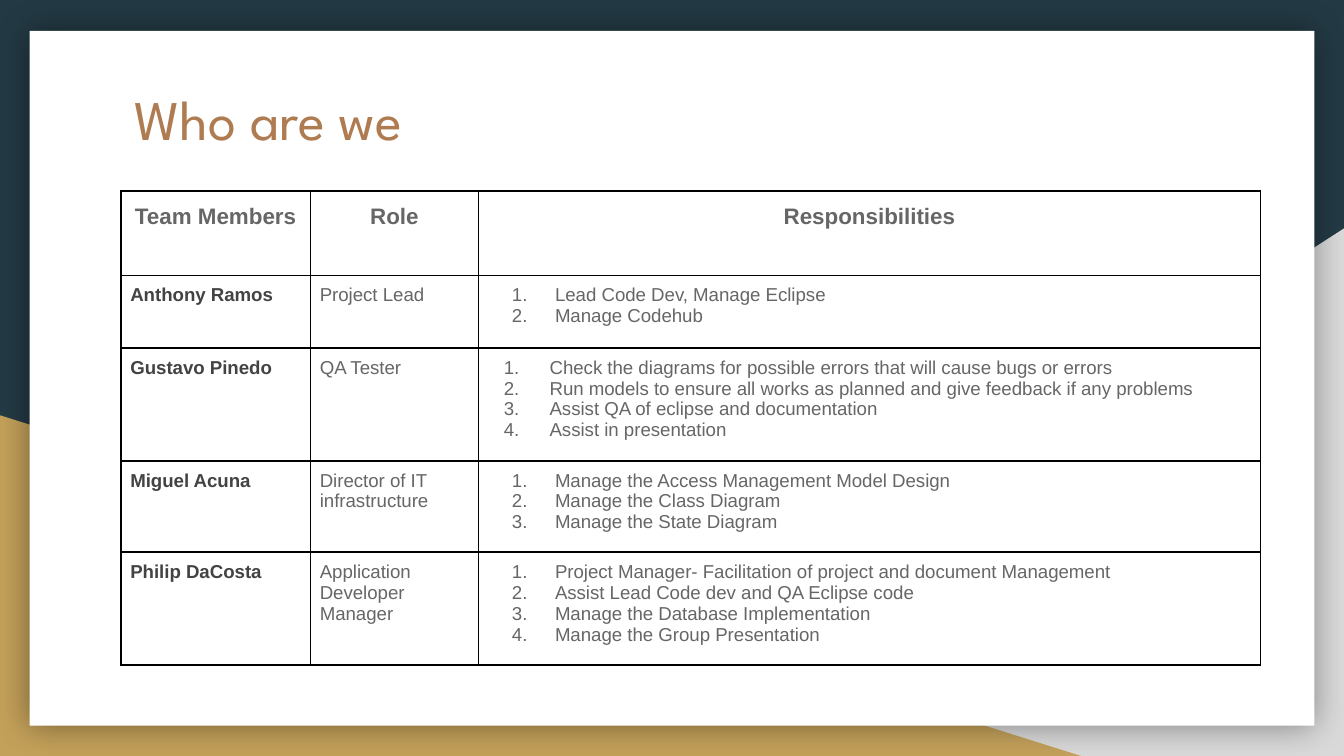
from dataclasses import dataclass

import lxml.etree
import pptx
import pptx.dml.color
import pptx.enum.shapes
import pptx.enum.text
import pptx.oxml
import pptx.oxml.ns
import pptx.util

Inches = pptx.util.Inches
Pt = pptx.util.Pt
qn = pptx.oxml.ns.qn
SHAPE = pptx.enum.shapes.MSO_SHAPE
CENTER = pptx.enum.text.PP_ALIGN.CENTER


@dataclass(frozen=True)
class Theme:
    back: str = "233A44"
    gray: str = "D9D9D9"
    gold: str = "C4A15A"
    white: str = "FFFFFF"
    title: str = "AF7B51"
    text: str = "666666"
    name: str = "434343"
    line: str = "000000"
    title_font: str = "League Spartan"
    font: str = "Arial"
    title_size: float = 30
    head_size: float = 12
    size: float = 10


@dataclass(frozen=True)
class Member:
    name: str
    role: str
    tasks: tuple[str, ...]
    height: float
    typed: bool = False  # numbers are part of the text


THEME = Theme()
HEADS = ("Team Members", "Role", "Responsibilities")
HEAD_HEIGHT = 0.63
WIDTHS = (1.41, 1.25, 5.82)
TEAM = (
    Member("Anthony Ramos", "Project Lead",
           ("Lead Code Dev, Manage Eclipse", "Manage Codehub"), 0.54),
    Member("Gustavo Pinedo", "QA Tester",
           ("1.\tCheck the diagrams for possible errors that will cause bugs or errors",
            "2.\tRun models to ensure all works as planned and give feedback if any problems",
            "3.\tAssist QA of eclipse and documentation",
            "4.\tAssist in presentation"), 0.84, True),
    Member("Miguel Acuna", "Director of IT infrastructure",
           ("Manage the Access Management Model Design",
            "Manage the Class Diagram",
            "Manage the State Diagram"), 0.68),
    Member("Philip DaCosta", "Application Developer Manager",
           ("Project Manager- Facilitation of project and document Management",
            "Assist Lead Code dev and QA Eclipse code",
            "Manage the Database Implementation",
            "Manage the Group Presentation"), 0.84),
)


def color(code: str) -> pptx.dml.color.RGBColor:
    return pptx.dml.color.RGBColor.from_string(code)


def add_tag(parent, tag: str, **attrs: str):
    return lxml.etree.SubElement(parent, qn(tag), attrs)


def style(font, face: str, size: float, code: str, bold: bool = False) -> None:
    font.name, font.size, font.bold = face, Pt(size), bold
    font.color.rgb = color(code)


def add_panel(slide, kind, box: tuple[float, ...], code: str):
    panel = slide.shapes.add_shape(kind, *map(Inches, box))
    panel.shadow.inherit = False
    panel.fill.solid()
    panel.fill.fore_color.rgb = color(code)
    panel.line.fill.background()
    return panel


def add_glow(panel) -> None:
    """Give the panel a soft shadow on all sides."""
    effects = panel._element.spPr.find(qn("a:effectLst"))
    shadow = add_tag(effects, "a:outerShdw", blurRad=str(Pt(18)), dist="0",
                     dir="0", algn="ctr", rotWithShape="0")
    tint = add_tag(shadow, "a:srgbClr", val=THEME.line)
    add_tag(tint, "a:alpha", val="40000")


def add_title(slide, text: str) -> None:
    box = slide.shapes.add_textbox(*map(Inches, (0.9, 0.53, 8.21, 1.04)))
    frame = box.text_frame
    frame.word_wrap = True
    frame.margin_left = frame.margin_right = Inches(0.1)
    frame.margin_top = frame.margin_bottom = Inches(0.1)
    frame.text = text
    style(frame.paragraphs[0].runs[0].font, THEME.title_font,
          THEME.title_size, THEME.title)


def set_cell(cell, text: str, size: float, code: str, bold: bool = False) -> None:
    """Fill one bordered cell; each line of text is a paragraph."""
    cell.margin_left = cell.margin_right = Inches(0.07)
    cell.margin_top = cell.margin_bottom = Inches(0.07)
    props = cell._tc.get_or_add_tcPr()
    for side in "LRTB":
        edge = add_tag(props, f"a:ln{side}", w=str(Pt(1)))
        fill = add_tag(edge, "a:solidFill")
        add_tag(fill, "a:srgbClr", val=THEME.line)
    cell.fill.background()
    cell.text_frame.text = text
    for para in cell.text_frame.paragraphs:
        for run in para.runs:
            style(run.font, THEME.font, size, code, bold)


def indent(para, start: float, hang: float):
    """Hang the first line; start and hang are in inches."""
    props = para._p.get_or_add_pPr()
    props.set("marL", str(Inches(start + hang)))
    props.set("indent", str(-Inches(hang)))
    return props


def number(para) -> None:
    props = indent(para, 0.18, 0.32)
    tint = add_tag(props, "a:buClr")
    add_tag(tint, "a:srgbClr", val=THEME.text)
    add_tag(props, "a:buFont", typeface=THEME.font)
    add_tag(props, "a:buAutoNum", type="arabicPeriod")


def add_team(slide) -> None:
    heights = (HEAD_HEIGHT, *(member.height for member in TEAM))
    frame = slide.shapes.add_table(
        len(heights), len(WIDTHS), Inches(0.9), Inches(1.42),
        Inches(sum(WIDTHS)), Inches(sum(heights)))
    table = frame.table
    table.first_row = table.horz_banding = False
    for column, width in zip(table.columns, WIDTHS):
        column.width = Inches(width)
    for row, height in zip(table.rows, heights):
        row.height = Inches(height)

    for cell, head in zip(table.rows[0].cells, HEADS):
        set_cell(cell, head, THEME.head_size, THEME.text, True)
        para = cell.text_frame.paragraphs[0]
        para.alignment = CENTER
        para.line_spacing = 1.15
        para.space_after = Pt(12)

    for place, member in enumerate(TEAM, 1):
        name, role, tasks = table.rows[place].cells
        set_cell(name, member.name, THEME.size, THEME.name, True)
        set_cell(role, member.role, THEME.size, THEME.text)
        set_cell(tasks, "\n".join(member.tasks), THEME.size, THEME.text)
        for para in tasks.text_frame.paragraphs:
            if member.typed:
                indent(para, 0.12, 0.34)
            else:
                number(para)


def main() -> None:
    deck = pptx.Presentation()
    deck.slide_width = Inches(10)
    deck.slide_height = deck.slide_width * 9 // 16
    slide = deck.slides.add_slide(deck.slide_layouts[6])
    slide.background.fill.solid()
    slide.background.fill.fore_color.rgb = color(THEME.back)

    wedge = add_panel(slide, SHAPE.RIGHT_TRIANGLE, (3.92, 1.7, 6.08, 3.93), THEME.gray)
    wedge._element.spPr.find(qn("a:xfrm")).set("flipH", "1")
    add_panel(slide, SHAPE.RIGHT_TRIANGLE, (0, 3.09, 8.06, 2.54), THEME.gold)
    add_glow(add_panel(slide, SHAPE.RECTANGLE, (0.22, 0.23, 9.56, 5.17), THEME.white))

    add_title(slide, "Who are we")
    add_team(slide)
    deck.save("out.pptx")


if __name__ == "__main__":
    main()
